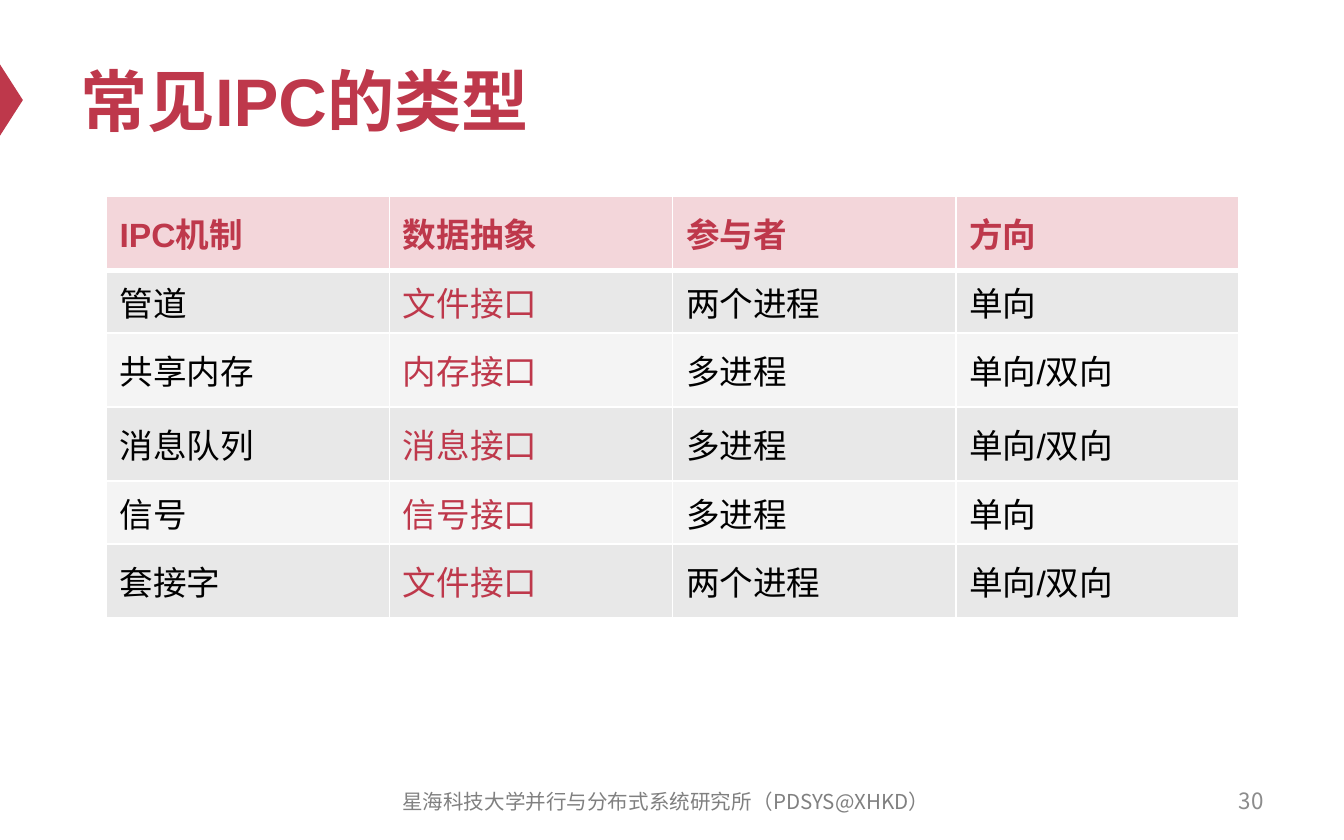
from lxml.etree import SubElement
from pptx import Presentation
from pptx.dml.color import RGBColor
from pptx.enum.shapes import MSO_SHAPE as SHAPE
from pptx.enum.text import MSO_ANCHOR as ANCHOR, PP_ALIGN as ALIGN
from pptx.oxml import parse_xml
from pptx.oxml.ns import nsdecls, qn
from pptx.util import Inches, Pt

WIDTH, HEIGHT = 10, 6.25
LATIN, CJK = "Arial", "Noto Sans CJK SC"
COLORS = {
    "accent": "BE384B", "header": "F3D6DA", "odd": "E8E8E8", "even": "F4F4F4",
    "text": "000000", "border": "FFFFFF", "footer": "808080", "number": "8C8C8C",
}
ROWS = [
    ("IPC机制", "数据抽象", "参与者", "方向"),
    ("管道", "文件接口", "两个进程", "单向"),
    ("共享内存", "内存接口", "多进程", "单向/双向"),
    ("消息队列", "消息接口", "多进程", "单向/双向"),
    ("信号", "信号接口", "多进程", "单向"),
    ("套接字", "文件接口", "两个进程", "单向/双向"),
]
TALL, SHORT = 0.55, 0.47
ROW_HEIGHTS = [TALL, SHORT, TALL, TALL, SHORT, TALL]


def rgb(name):
    return RGBColor.from_string(COLORS[name])


def box(left, top, width, height):
    return [Inches(v) for v in (left, top, width, height)]


def set_text(tf, text, size, color, font=LATIN, bold=False, align=ALIGN.LEFT):
    tf.text = text
    p = tf.paragraphs[0]
    p.alignment = align
    r = p.runs[0]
    r.font.size, r.font.bold, r.font.name = Pt(size), bold, font
    r.font.color.rgb = rgb(color)
    SubElement(r.font._element, qn("a:ea")).set("typeface", CJK)


def add_marker(slide):
    """Arrow tip that enters from the left edge beside the title."""
    s = slide.shapes.add_shape(SHAPE.ISOSCELES_TRIANGLE, *box(-0.18, 0.66, 0.53, 0.17))
    s.rotation = 90
    s.shadow.inherit = False
    s.fill.solid()
    s.fill.fore_color.rgb = rgb("accent")
    s.line.fill.background()


def add_title(slide, text):
    s = slide.shapes.title
    s.left, s.top, s.width, s.height = box(0.05 * WIDTH, 0.04 * HEIGHT, 0.9 * WIDTH, 0.98)
    s.text_frame.vertical_anchor = ANCHOR.MIDDLE
    set_text(s.text_frame, text, 36, "accent", bold=True)


def add_footer(slide, text, left, top, width, size, color, align):
    tf = slide.shapes.add_textbox(*box(left, top, width, 0.33)).text_frame
    tf.word_wrap = True
    tf.vertical_anchor = ANCHOR.MIDDLE
    set_text(tf, text, size, color, CJK, align=align)


def set_borders(cell, top, bottom):
    tc_pr = cell._tc.get_or_add_tcPr()
    sides = (("L", 1), ("R", 1), ("T", top), ("B", bottom))
    for i, (side, width) in enumerate(sides):
        tc_pr.insert(i, parse_xml(
            f'<a:ln{side} {nsdecls("a")} w="{Pt(width)}"><a:solidFill>'
            f'<a:srgbClr val="{COLORS["border"]}"/></a:solidFill></a:ln{side}>'))


def format_cell(cell, text, row, col):
    header = row == 0
    fill = "header" if header else "odd" if row % 2 else "even"
    color = "accent" if header or col == 1 else "text"
    cell.vertical_anchor = ANCHOR.MIDDLE
    cell.fill.solid()
    cell.fill.fore_color.rgb = rgb(fill)
    set_text(cell.text_frame, text, 18, color, bold=header)
    set_borders(cell, top=3 if row == 1 else 1, bottom=3 if header else 1)


def add_ipc_table(slide):
    frame = slide.shapes.add_table(len(ROWS), len(ROWS[0]),
                                   *box(0.79, 1.46, 8.43, sum(ROW_HEIGHTS)))
    table = frame.table
    for i, (values, height) in enumerate(zip(ROWS, ROW_HEIGHTS)):
        table.rows[i].height = Inches(height)
        for j, text in enumerate(values):
            format_cell(table.cell(i, j), text, i, j)


def main():
    prs = Presentation()
    prs.slide_width, prs.slide_height = Inches(WIDTH), Inches(HEIGHT)
    slide = prs.slides.add_slide(prs.slide_layouts[5])
    add_marker(slide)
    add_title(slide, "常见IPC的类型")
    add_footer(slide, "30", 7.17, 5.79, 2.33, 12, "number", ALIGN.RIGHT)
    add_footer(slide, "星海科技大学并行与分布式系统研究所（PDSYS@XHKD）",
               2.79, 5.8, 4.33, 11, "footer", ALIGN.CENTER)
    add_ipc_table(slide)
    prs.save("out.pptx")


if __name__ == "__main__":
    main()
